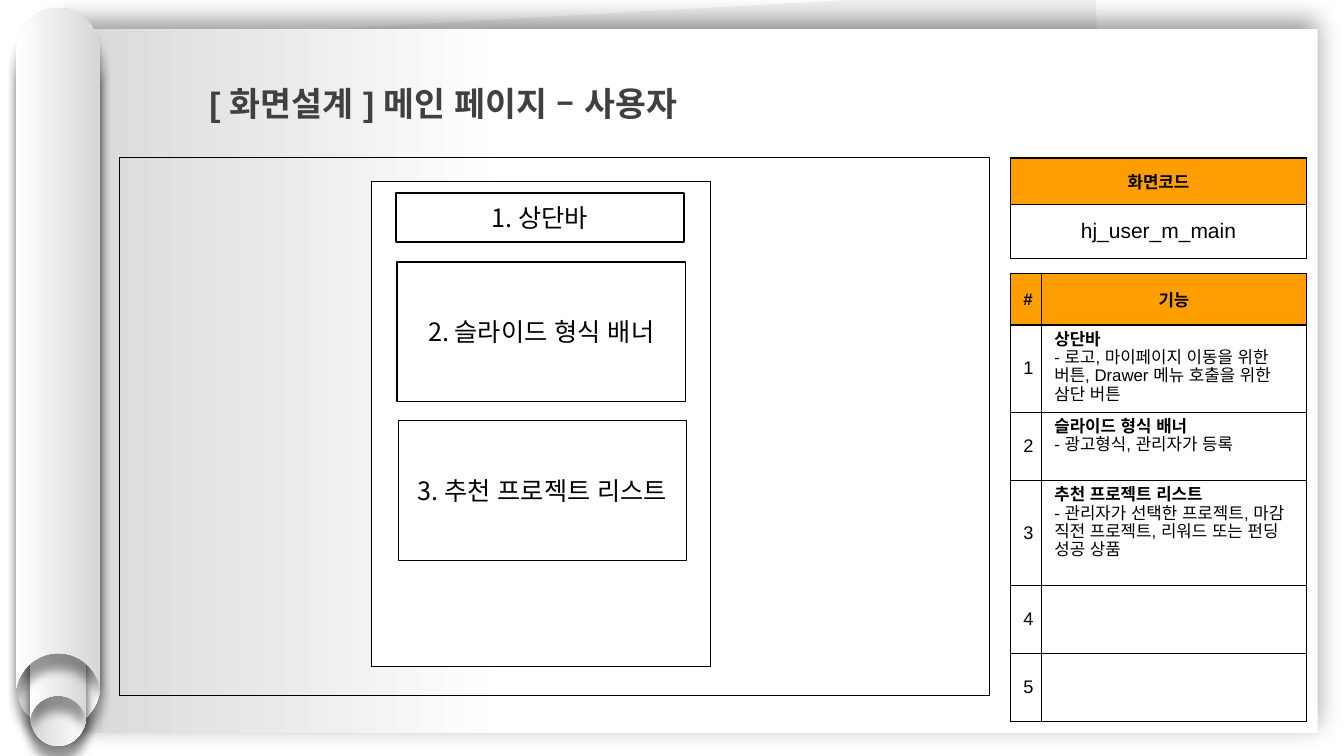
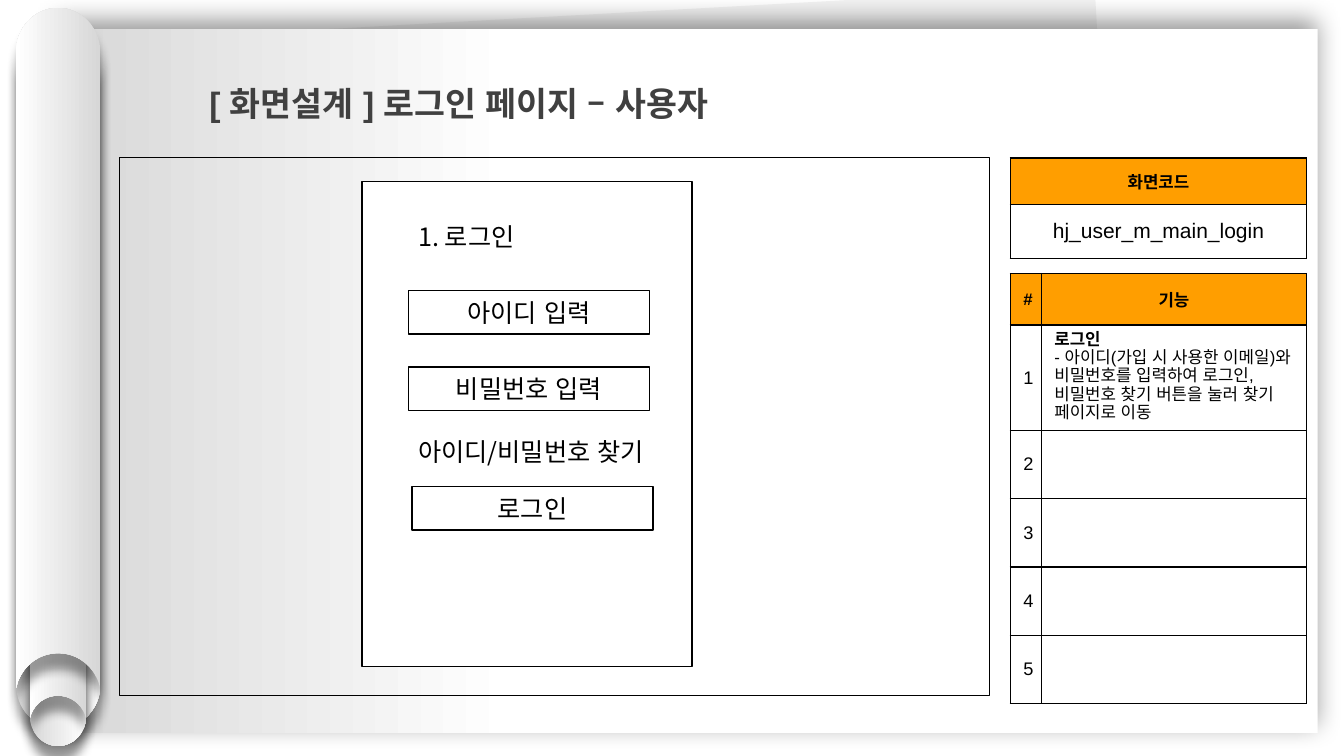
import dataclasses

import lxml.etree
import pptx
import pptx.dml.color
import pptx.enum.lang
import pptx.enum.shapes
import pptx.enum.text
import pptx.oxml.ns
import pptx.util

Cm = pptx.util.Cm
Pt = pptx.util.Pt
qn = pptx.oxml.ns.qn
RECT = pptx.enum.shapes.MSO_SHAPE.RECTANGLE
ALIGN = pptx.enum.text.PP_ALIGN
ANCHOR = pptx.enum.text.MSO_ANCHOR


@dataclasses.dataclass(frozen=True)
class Theme:
    black: str = "000000"
    white: str = "FFFFFF"
    title: str = "404040"
    header: str = "FF9E00"
    under_page: str = "F2F2F2"
    shade: str = "D7D7D7"
    latin: str = "Arial"
    korean: str = "Noto Sans CJK KR"
    title_size: float = 24
    box_size: float = 18
    code_size: float = 15
    number_size: float = 13
    table_size: float = 12
    detail_spacing: float = 13


T = Theme()

# Shared geometry in centimetres
SIDE_X, SIDE_W = 25.46, 7.47
TOP = 3.98
NUMBER_W = 0.78
EMPTY_ROW = ("", "", 1.72)


def rgb(value):
    return pptx.dml.color.RGBColor.from_string(value)


# Text
def add_text(tf, text, *, size, font=T.latin, color=T.black, bold=False,
             align=ALIGN.LEFT, spacing=None):
    p = tf.paragraphs[0]
    if p.runs:
        p = tf.add_paragraph()
    p.alignment = align
    if spacing:
        p.line_spacing = spacing
    r = p.add_run()
    r.text = text
    r.font.size = Pt(size)
    r.font.name = font
    r.font.bold = bold
    r.font.color.rgb = rgb(color)
    r.font.language_id = pptx.enum.lang.MSO_LANGUAGE_ID.KOREAN
    ea = lxml.etree.SubElement(r.font._element, qn("a:ea"))
    ea.set("typeface", T.korean)


def add_label(slide, x, y, w, h, text, **style):
    tf = slide.shapes.add_textbox(Cm(x), Cm(y), Cm(w), Cm(h)).text_frame
    tf.word_wrap = True
    add_text(tf, text, **style)


# Shapes
def set_gradient(sp, stops):
    sp.fill.gradient()
    sp.fill.gradient_angle = 180
    for stop, (position, color) in zip(sp.fill.gradient_stops, stops):
        stop.position = position
        stop.color.rgb = rgb(color)


def set_shadow(sp, blur, distance, direction):
    sp.shadow.inherit = False
    effects = sp._element.spPr.find(qn("a:effectLst"))
    shadow = lxml.etree.SubElement(
        effects, qn("a:outerShdw"), blurRad=str(Pt(blur)),
        dist=str(Pt(distance)), dir=str(direction * 60000),
        algn="ctr", rotWithShape="0")
    color = lxml.etree.SubElement(shadow, qn("a:srgbClr"), val=T.black)
    lxml.etree.SubElement(color, qn("a:alpha"), val="40000")


def add_rect(slide, x, y, w, h, fill=None, line=None):
    sp = slide.shapes.add_shape(RECT, Cm(x), Cm(y), Cm(w), Cm(h))
    sp.shadow.inherit = False
    if fill:
        sp.fill.solid()
        sp.fill.fore_color.rgb = rgb(fill)
    else:
        sp.fill.background()
    if line:
        sp.line.color.rgb = rgb(T.black)
        sp.line.width = Pt(line)
    else:
        sp.line.fill.background()
    return sp


def add_box(slide, x, y, w, h, text):
    sp = add_rect(slide, x, y, w, h, line=1)
    tf = sp.text_frame
    tf.word_wrap = True
    tf.vertical_anchor = ANCHOR.MIDDLE
    add_text(tf, text, size=T.box_size, font=T.korean, align=ALIGN.CENTER)


def bend(segment, controls):
    """Turn a straight outline segment into a Bezier curve."""
    segment.tag = qn("a:cubicBezTo")
    for i, (x, y) in enumerate(controls):
        pt = lxml.etree.Element(qn("a:pt"), x=str(Cm(x)), y=str(Cm(y)))
        segment.insert(i, pt)


def add_roll(group, x, y, w, h, dome, notch, rotation):
    """Paper roll with a domed top and a hollow bottom."""
    mid, apex = w / 2, h - notch
    kink, kink_y = 0.95 * mid, apex + 0.8 * notch
    flank, flank_y = 0.8 * mid, apex + 0.33 * notch
    round_x, round_y = 0.55 * mid, 0.45 * dome
    points = [(w, dome), (w, h), (mid + kink, kink_y), (mid, apex),
              (mid - kink, kink_y), (0, h), (0, dome), (mid, 0)]
    curves = {
        0: [(mid + round_x, 0), (w, round_y)],
        3: [(mid + flank, flank_y), (mid + 0.44 * mid, apex)],
        4: [(mid - 0.44 * mid, apex), (mid - flank, flank_y)],
        7: [(0, round_y), (mid - round_x, 0)],
    }
    builder = group.shapes.build_freeform(Cm(x + mid), Cm(y))
    builder.add_line_segments([(Cm(x + px), Cm(y + py)) for px, py in points])
    sp = builder.convert_to_shape()
    segments = list(sp._element.iter(qn("a:lnTo")))
    for i, controls in curves.items():
        bend(segments[i], controls)
    sp.rotation = rotation
    set_gradient(sp, [(0, T.shade), (1, T.white)])
    sp.line.fill.background()
    set_shadow(sp, 7, 11, 90)


# Tables
def set_borders(cell):
    tc_pr = cell._tc.get_or_add_tcPr()
    for side in ("lnL", "lnR", "lnT", "lnB"):
        ln = lxml.etree.SubElement(tc_pr, qn(f"a:{side}"), w=str(Pt(1)))
        fill = lxml.etree.SubElement(ln, qn("a:solidFill"))
        lxml.etree.SubElement(fill, qn("a:srgbClr"), val=T.black)


def add_table(slide, y, widths, heights):
    frame = slide.shapes.add_table(
        len(heights), len(widths), Cm(SIDE_X), Cm(y),
        Cm(sum(widths)), Cm(sum(heights)))
    table = frame.table
    table.first_row = table.horz_banding = False
    for column, width in zip(table.columns, widths):
        column.width = Cm(width)
    for row, height in zip(table.rows, heights):
        row.height = Cm(height)
    for i, row in enumerate(table.rows):
        for cell in row.cells:
            set_borders(cell)
            cell.margin_left = cell.margin_right = Cm(0.33)
            cell.margin_top = cell.margin_bottom = Cm(0.18)
            if i == 0:
                cell.fill.solid()
                cell.fill.fore_color.rgb = rgb(T.header)
            else:
                cell.fill.background()
    return table


def fill_centered(cell, text, size, bold=False):
    cell.vertical_anchor = ANCHOR.MIDDLE
    add_text(cell.text_frame, text, size=size, bold=bold, align=ALIGN.CENTER)


def add_code_table(slide, code):
    table = add_table(slide, TOP, [SIDE_W], [1.17, 1.37])
    fill_centered(table.cell(0, 0), "화면코드", T.table_size, bold=True)
    fill_centered(table.cell(1, 0), code, T.code_size)


def add_feature_table(slide, features):
    heights = [1.3] + [height for _, _, height in features]
    table = add_table(slide, 6.89, [NUMBER_W, SIDE_W - NUMBER_W], heights)
    for column, heading in enumerate(("#", "기능")):
        fill_centered(table.cell(0, column), heading, T.table_size, bold=True)
    for i, (name, detail, _) in enumerate(features, 1):
        fill_centered(table.cell(i, 0), str(i), T.number_size)
        if name:
            tf = table.cell(i, 1).text_frame
            for text, bold in ((name, True), (detail, False)):
                add_text(tf, text, size=T.table_size, bold=bold,
                         spacing=Pt(T.detail_spacing))


# Everything the screen-design slides share
def add_backdrop(slide):
    under = add_rect(slide, 2.31, 0.36, 25.78, 17.27, fill=T.under_page)
    under.rotation = 356.8
    page = add_rect(slide, 1.46, 0.74, 31.75, 17.74)
    set_gradient(page, [(0.64, T.white), (1, T.shade)])
    set_shadow(page, 18, 6, 270)
    outer = dict(x=0.4, w=2.13, h=17.15, dome=1.12, notch=0.89)
    inner = dict(x=0.75, w=1.42, h=11.48, dome=0.76, notch=0.58)
    group = slide.shapes.add_group_shape()
    for roll, y, rotation in ((outer, 1.21, 180), (inner, 7.32, 180),
                              (inner, 6.63, 0), (outer, 0.2, 0)):
        add_roll(group, y=y, rotation=rotation, **roll)


def add_screen_slide(prs, page_name, code, features):
    slide = prs.slides.add_slide(prs.slide_layouts[6])
    add_backdrop(slide)
    add_code_table(slide, code)
    add_rect(slide, 3.01, TOP, 21.92, 13.54, line=0.75)
    add_feature_table(slide, features)
    add_label(slide, 5.03, 1.45, 26.8, 1.6,
              f"[ 화면설계 ] {page_name} – 사용자", size=T.title_size,
              color=T.title, bold=True, spacing=1.5)
    return slide


def add_phone(slide, x, w):
    add_rect(slide, x, 4.57, w, 12.22, fill=T.white, line=1)


def add_main_page(prs):
    slide = add_screen_slide(prs, "메인 페이지", "hj_user_m_main", [
        ("상단바", "- 로고, 마이페이지 이동을 위한 버튼, "
         "Drawer 메뉴 호출을 위한 삼단 버튼", 2.18),
        ("슬라이드 형식 배너", "- 광고형식, 관리자가 등록", 1.72),
        ("추천 프로젝트 리스트", "- 관리자가 선택한 프로젝트, "
         "마감 직전 프로젝트, 리워드 또는 펀딩 성공 상품", 2.64),
        EMPTY_ROW, EMPTY_ROW])
    add_phone(slide, 9.37, 8.53)
    for x, y, h, text in ((9.98, 4.86, 1.24, "1. 상단바"),
                          (10.01, 6.6, 3.52, "2. 슬라이드 형식 배너"),
                          (10.04, 10.6, 3.52, "3. 추천 프로젝트 리스트")):
        add_box(slide, x, y, 7.26, h, text)


def add_login_page(prs):
    slide = add_screen_slide(prs, "로그인 페이지", "hj_user_m_main_login", [
        ("로그인", "- 아이디(가입 시 사용한 이메일)와 비밀번호를 입력하여 "
         "로그인, 비밀번호 찾기 버튼을 눌러 찾기 페이지로 이동", 2.64),
        *[EMPTY_ROW] * 4])
    add_phone(slide, 9.12, 8.32)
    for x, y, text in ((10.29, 7.32, "아이디 입력"),
                       (10.29, 9.25, "비밀번호 입력"),
                       (10.38, 12.26, "로그인")):
        add_box(slide, x, y, 6.08, 1.1, text)
    for y, w, text in ((5.44, 4.83, "1. 로그인"),
                       (10.88, 8.76, "아이디/비밀번호 찾기")):
        add_label(slide, 10.29, y, w, 1.02, text,
                  size=T.box_size, font=T.korean)


def main():
    prs = pptx.Presentation()
    prs.slide_width, prs.slide_height = Cm(33.87), Cm(19.05)
    add_main_page(prs)
    add_login_page(prs)
    prs.save("out.pptx")


if __name__ == "__main__":
    main()
